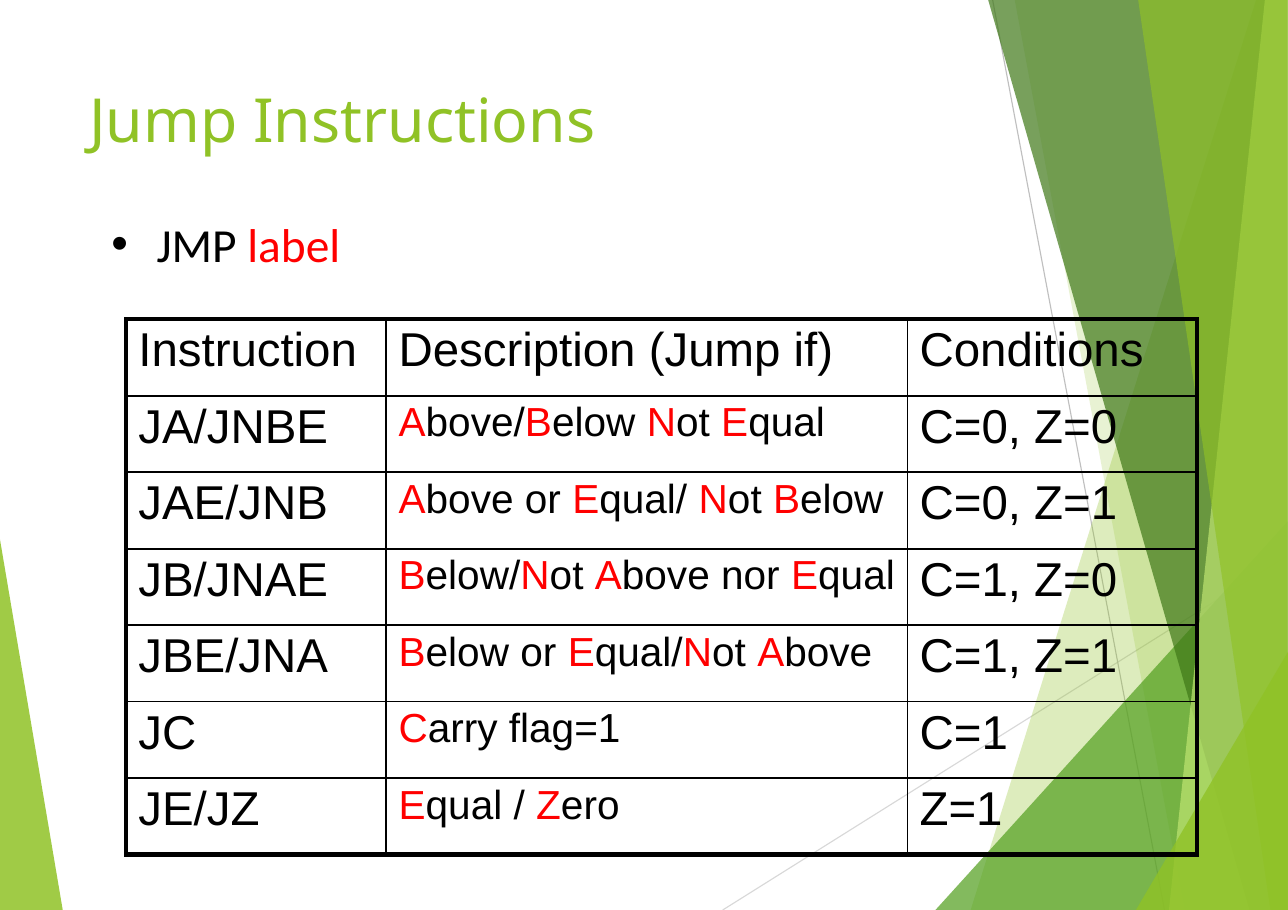
from dataclasses import dataclass
from itertools import groupby

from lxml import etree
from pptx import Presentation
from pptx.dml.color import RGBColor
from pptx.enum.shapes import MSO_CONNECTOR
from pptx.enum.text import MSO_ANCHOR, PP_ALIGN
from pptx.oxml.ns import qn
from pptx.slide import Slide
from pptx.table import _Cell
from pptx.text.text import TextFrame, _Paragraph
from pptx.util import Pt

STRAIGHT = MSO_CONNECTOR.STRAIGHT
TOP = MSO_ANCHOR.TOP
LEFT = PP_ALIGN.LEFT

WIDTH, HEIGHT = 841.68, 594.72
EDGE = 842.4  # facets reach just past the right side
BLACK, RED, GREEN = "000000", "FF0000", "90C226"


@dataclass(frozen=True)
class Facet:
    points: tuple[tuple[float, float], ...]
    color: str
    opacity: int


@dataclass(frozen=True)
class Ray:
    start: tuple[float, float]
    end: tuple[float, float]
    color: str


@dataclass(frozen=True)
class Jump:
    instruction: str
    description: str
    condition: str


def right_band(top: float, bottom: float, color: str, opacity: int,
               edge: float = EDGE) -> Facet:
    points = ((top, 0), (bottom, HEIGHT), (edge, HEIGHT), (edge, 0))
    return Facet(points, color, opacity)


def right_corner(left: float, top: float, color: str, opacity: int) -> Facet:
    return Facet(((left, HEIGHT), (EDGE, top), (EDGE, HEIGHT)), color, opacity)


# Background decoration, from back to front
DECORATION = (
    Facet(((-0.7, 348.5), (41, HEIGHT), (-0.7, HEIGHT)), GREEN, 85),
    Ray((472.3, HEIGHT), (EDGE, 362.5), "D8D8D8"),
    Ray((648.7, 0), (761, HEIGHT), "BFBFBF"),
    right_band(820.8, 634.3, GREEN, 30),
    right_band(663.1, 774, GREEN, 20),
    right_corner(611.3, 339.8, "54A021", 72),
    right_band(645.8, 816.5, "3F7818", 70),
    right_band(826.6, 763.9, "BFE471", 70),
    right_band(743.8, 830.2, GREEN, 65, edge=841.3),
    right_corner(742.3, 424.8, GREEN, 80),
)

# Table content and geometry
HEADER = Jump("Instruction", "Description (Jump if)", "Conditions")
JUMPS = (
    Jump("JA/JNBE", "Above/Below Not Equal", "C=0, Z=0"),
    Jump("JAE/JNB", "Above or Equal/ Not Below", "C=0, Z=1"),
    Jump("JB/JNAE", "Below/Not Above nor Equal", "C=1, Z=0"),
    Jump("JBE/JNA", "Below or Equal/Not Above", "C=1, Z=1"),
    Jump("JC", "Carry flag=1", "C=1"),
    Jump("JE/JZ", "Equal / Zero", "Z=1"),
)
COLUMN_WIDTHS = (170, 340.5, 189.5)
ROW_HEIGHT = 50
VERTICAL_RULES = (3, 1.5, 1, 3)
HORIZONTAL_RULES = (3, 1.5, 1, 1.5, 1.5, 1, 1.5, 3)


def rgb(color: str) -> RGBColor:
    return RGBColor.from_string(color)


def write_text(paragraph: _Paragraph, text: str, *, size: float,
               font: str = "Arial", color: str = BLACK) -> None:
    run = paragraph.add_run()
    run.text = text
    run.font.size = Pt(size)
    run.font.name = font
    run.font.color.rgb = rgb(color)


def add_facet(slide: Slide, facet: Facet) -> None:
    points = [(Pt(x), Pt(y)) for x, y in facet.points]
    builder = slide.shapes.build_freeform(*points[0])
    builder.add_line_segments(points[1:], close=True)
    shape = builder.convert_to_shape()
    shape.shadow.inherit = False
    shape.line.fill.background()
    shape.fill.solid()
    shape.fill.fore_color.rgb = rgb(facet.color)
    fill_color = shape._element.spPr.find(f"{qn('a:solidFill')}/{qn('a:srgbClr')}")
    etree.SubElement(fill_color, qn("a:alpha"), val=str(facet.opacity * 1000))


def add_ray(slide: Slide, ray: Ray) -> None:
    ends = [Pt(value) for value in ray.start + ray.end]
    connector = slide.shapes.add_connector(STRAIGHT, *ends)
    connector.line.color.rgb = rgb(ray.color)
    connector.line.width = Pt(0.75)
    etree.SubElement(connector._element.spPr, qn("a:effectLst"))


def add_text_box(slide: Slide, left: float, top: float, width: float,
                 height: float) -> TextFrame:
    box = slide.shapes.add_textbox(Pt(left), Pt(top), Pt(width), Pt(height))
    frame = box.text_frame
    frame.word_wrap = True
    frame.vertical_anchor = TOP
    frame.margin_left = frame.margin_right = frame.margin_bottom = 0
    frame.margin_top = Pt(0.7)
    frame.paragraphs[0].alignment = LEFT
    return frame


def add_bullet(paragraph: _Paragraph, margin: float, hanging: float) -> None:
    properties = paragraph._p.get_or_add_pPr()
    properties.set("marL", str(Pt(margin)))
    properties.set("indent", str(-Pt(hanging)))
    bullet_color = etree.SubElement(properties, qn("a:buClr"))
    etree.SubElement(bullet_color, qn("a:srgbClr"), val=BLACK)
    etree.SubElement(properties, qn("a:buFont"), typeface="Arial")
    etree.SubElement(properties, qn("a:buChar"), char="•")


def format_cell(cell: _Cell, row: int, column: int) -> None:
    borders = {
        "a:lnL": VERTICAL_RULES[column],
        "a:lnR": VERTICAL_RULES[column + 1],
        "a:lnT": HORIZONTAL_RULES[row],
        "a:lnB": HORIZONTAL_RULES[row + 1],
    }
    cell.margin_left, cell.margin_top = Pt(8), Pt(3)
    cell.margin_right = cell.margin_bottom = 0
    cell.vertical_anchor = TOP
    properties = cell._tc.get_or_add_tcPr()
    for tag, width in borders.items():
        line = etree.SubElement(properties, qn(tag), w=str(Pt(width)))
        line_fill = etree.SubElement(line, qn("a:solidFill"))
        etree.SubElement(line_fill, qn("a:srgbClr"), val=BLACK)
    cell.fill.background()


def add_jump_table(slide: Slide, left: float, top: float) -> None:
    rows = (HEADER, *JUMPS)
    table = slide.shapes.add_table(
        len(rows), len(COLUMN_WIDTHS), Pt(left), Pt(top),
        Pt(sum(COLUMN_WIDTHS)), Pt(ROW_HEIGHT * len(rows))).table
    table.first_row = table.horz_banding = False
    for column, width in enumerate(COLUMN_WIDTHS):
        table.columns[column].width = Pt(width)
    for row, jump in enumerate(rows):
        table.rows[row].height = Pt(ROW_HEIGHT)
        texts = (jump.instruction, jump.description, jump.condition)
        for column, text in enumerate(texts):
            cell = table.cell(row, column)
            format_cell(cell, row, column)
            paragraph = cell.text_frame.paragraphs[0]
            if row == 0 or column != 1:
                write_text(paragraph, text, size=31)
                continue
            # Capitals spell the mnemonic and stand out in red
            for capital, letters in groupby(text, str.isupper):
                write_text(paragraph, "".join(letters), size=26.5,
                           color=RED if capital else BLACK)


def main() -> None:
    presentation = Presentation()
    presentation.slide_width, presentation.slide_height = Pt(WIDTH), Pt(HEIGHT)
    slide = presentation.slides.add_slide(presentation.slide_layouts[6])

    for part in DECORATION:
        if isinstance(part, Facet):
            add_facet(slide, part)
        else:
            add_ray(slide, part)

    # Title and unconditional jump
    title = add_text_box(slide, 56.2, 52.6, 584.6, 114.5).paragraphs[0]
    title._p.get_or_add_pPr().set("marL", str(Pt(2)))
    write_text(title, "Jump Instructions", size=39.7, font="Noto Sans", color=GREEN)
    syntax = add_text_box(slide, 71.3, 139.7, 152, 38.9).paragraphs[0]
    add_bullet(syntax, margin=31, hanging=29.5)
    write_text(syntax, "JMP ", size=31, font="Calibri")
    write_text(syntax, "label", size=31, font="Calibri", color=RED)

    add_jump_table(slide, 82.5, 208.6)
    presentation.save("out.pptx")


if __name__ == "__main__":
    main()
